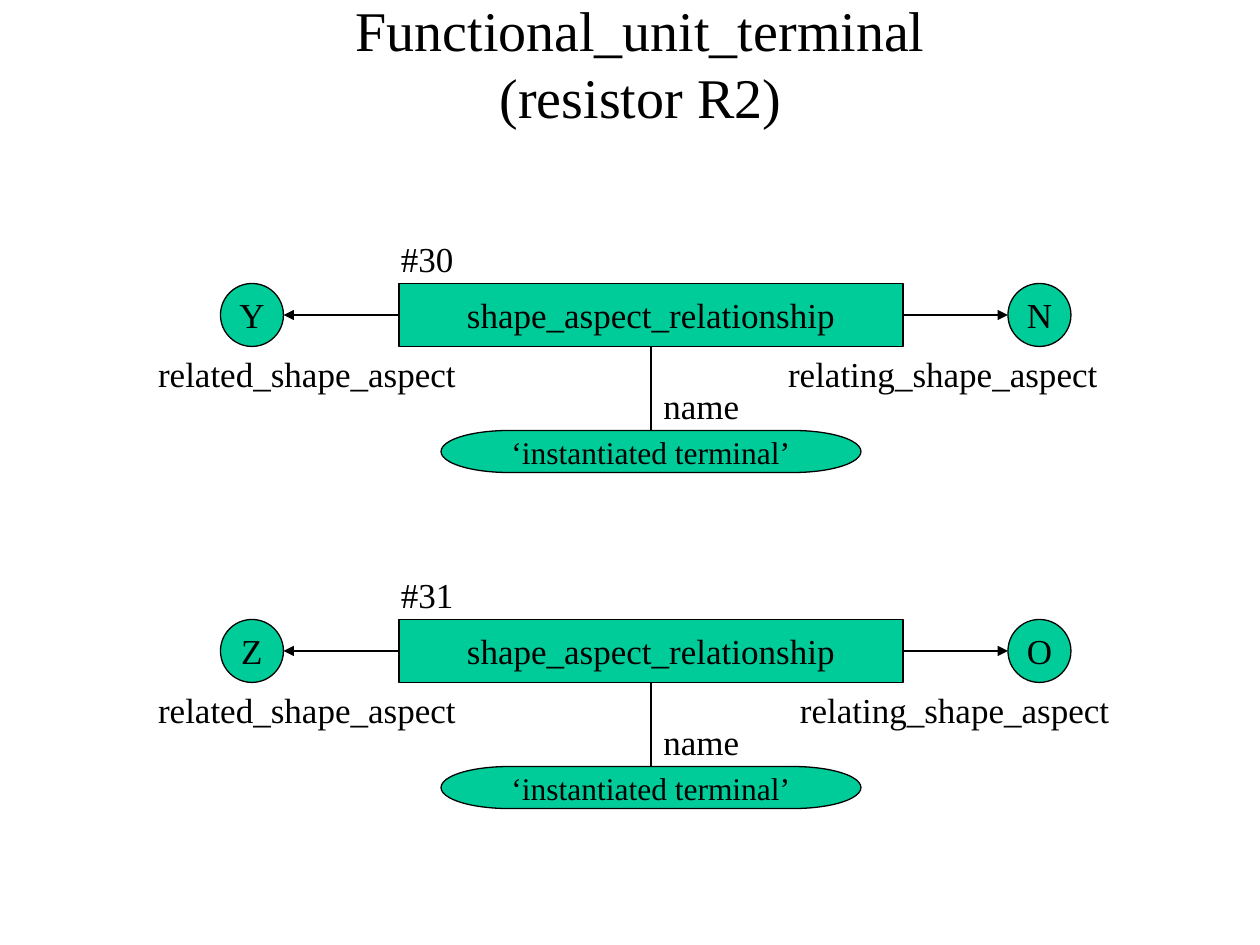
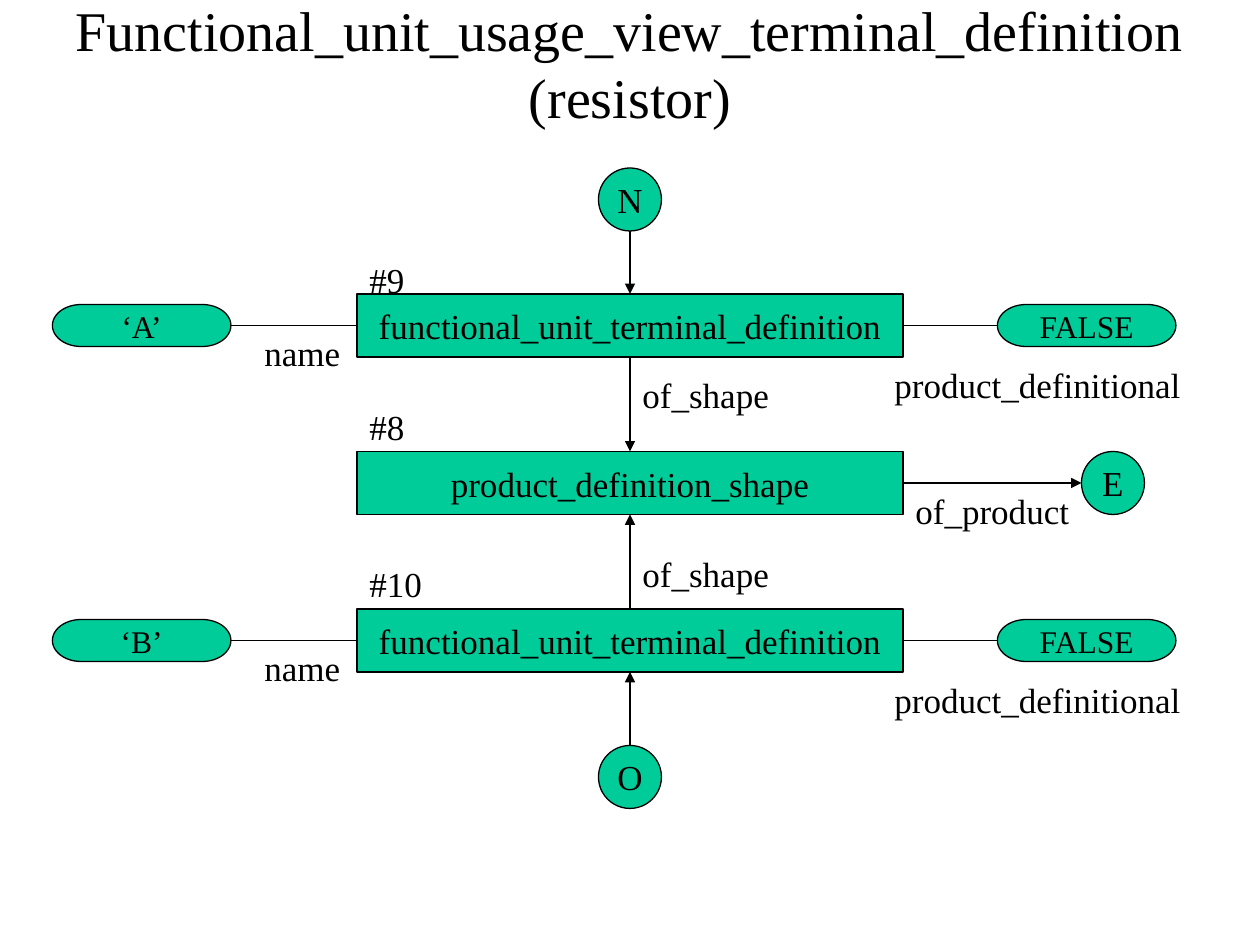
from lxml.etree import SubElement
from pptx import Presentation
from pptx.dml.color import RGBColor
from pptx.enum.shapes import MSO_CONNECTOR, MSO_SHAPE
from pptx.enum.text import MSO_ANCHOR, MSO_AUTO_SIZE, PP_ALIGN
from pptx.oxml.ns import qn
from pptx.util import Emu, Pt

PX = 9525
FONT = "Times New Roman"
BLACK = "000000"
GREEN = "00CC99"
LINE_WIDTH = Pt(0.75)
TOP, LEFT, BOTTOM, RIGHT = range(4)
BOX_HEIGHT = 48
CIRCLE_SIZE = 48
PILL_HEIGHT = 32
LABEL_HEIGHT = 42
TITLE_TOP, TITLE_HEIGHT = 16, 64


def px(length):
    """Turn whole pixels into EMU."""
    return Emu(length * PX)


def color(hex_string):
    """Turn a hex string into a colour."""
    return RGBColor.from_string(hex_string)


def add_run(paragraph, text, size):
    """Add one run in the shared font."""
    run = paragraph.add_run()
    run.text = text
    run.font.name = FONT
    run.font.size = Pt(size)
    run.font.color.rgb = color(BLACK)


def add_titled_slide(presentation, left, width, lines):
    """Add a slide with a centred title of several lines."""
    slide = presentation.slides.add_slide(presentation.slide_layouts[5])
    title = slide.shapes.title
    title.left, title.top = px(left), px(TITLE_TOP)
    title.width, title.height = px(width), px(TITLE_HEIGHT)
    frame = title.text_frame
    frame.auto_size = MSO_AUTO_SIZE.NONE
    frame.vertical_anchor = MSO_ANCHOR.MIDDLE
    paragraph = frame.paragraphs[0]
    paragraph.alignment = PP_ALIGN.CENTER
    for index, line in enumerate(lines):
        if index:
            paragraph.add_line_break()
        add_run(paragraph, line, 32)
    return slide


def add_node(slide, kind, left, top, width, height, text, size=20):
    """Add a green outlined shape with centred text."""
    shape = slide.shapes.add_shape(kind, px(left), px(top), px(width), px(height))
    shape.shadow.inherit = False
    shape.fill.solid()
    shape.fill.fore_color.rgb = color(GREEN)
    shape.line.color.rgb = color(BLACK)
    shape.line.width = LINE_WIDTH
    frame = shape.text_frame
    frame.word_wrap = False
    frame.vertical_anchor = MSO_ANCHOR.MIDDLE
    paragraph = frame.paragraphs[0]
    paragraph.alignment = PP_ALIGN.CENTER
    add_run(paragraph, text, size)
    return shape


def add_entity(slide, left, top, width, text):
    """Add an entity rectangle."""
    return add_node(slide, MSO_SHAPE.RECTANGLE, left, top, width, BOX_HEIGHT, text)


def add_reference(slide, left, top, letter):
    """Add a lettered circle that refers to another diagram."""
    return add_node(slide, MSO_SHAPE.FLOWCHART_CONNECTOR, left, top,
                    CIRCLE_SIZE, CIRCLE_SIZE, letter)


def add_value(slide, left, top, width, text):
    """Add an attribute value in a rounded shape."""
    return add_node(slide, MSO_SHAPE.FLOWCHART_TERMINATOR, left, top,
                    width, PILL_HEIGHT, text, 18)


def add_label(slide, left, top, width, text):
    """Add a plain text label."""
    box = slide.shapes.add_textbox(px(left), px(top), px(width), px(LABEL_HEIGHT))
    box.text_frame.word_wrap = False
    box.text_frame.auto_size = MSO_AUTO_SIZE.SHAPE_TO_FIT_TEXT
    add_run(box.text_frame.paragraphs[0], text, 20)


def side_point(shape, side):
    """Return the middle of one side of a shape."""
    x_share = {LEFT: 0, RIGHT: 2}.get(side, 1)
    y_share = {TOP: 0, BOTTOM: 2}.get(side, 1)
    return (shape.left + shape.width * x_share // 2,
            shape.top + shape.height * y_share // 2)


def add_link(slide, start, start_side, end, end_side, arrow=False):
    """Draw a straight line between the sides of two shapes."""
    connector = slide.shapes.add_connector(
        MSO_CONNECTOR.STRAIGHT, *side_point(start, start_side), *side_point(end, end_side))
    if start.auto_shape_type != MSO_SHAPE.FLOWCHART_CONNECTOR:
        connector.begin_connect(start, start_side)
    if end.auto_shape_type != MSO_SHAPE.FLOWCHART_CONNECTOR:
        connector.end_connect(end, end_side)
    connector.line.color.rgb = color(BLACK)
    connector.line.width = LINE_WIDTH
    if arrow:
        SubElement(connector.get_or_add_ln(), qn("a:tailEnd"), type="triangle")
    SubElement(connector._element.spPr, qn("a:effectLst"))


def add_relationship(slide, top, number, related, relating, relating_left):
    """Add a shape_aspect_relationship with its two aspects and its name."""
    entity = add_entity(slide, 304, top, 384, "shape_aspect_relationship")
    related_circle = add_reference(slide, 168, top, related)
    relating_circle = add_reference(slide, 768, top, relating)
    value = add_value(slide, 336, top + 112, 320, "‘instantiated terminal’")
    add_link(slide, entity, LEFT, related_circle, RIGHT, arrow=True)
    add_link(slide, entity, RIGHT, relating_circle, LEFT, arrow=True)
    add_link(slide, entity, BOTTOM, value, TOP)
    add_label(slide, 296, top - 40, 60, number)
    add_label(slide, 111, top + 48, 248, "related_shape_aspect")
    add_label(slide, relating_left, top + 48, 257, "relating_shape_aspect")
    add_label(slide, 496, top + 72, 78, "name")


def add_terminal_definition(slide, top, name):
    """Add a terminal definition with its two attribute values."""
    entity = add_entity(slide, 272, top, 416, "functional_unit_terminal_definition")
    name_value = add_value(slide, 40, top + 8, 136, name)
    flag_value = add_value(slide, 760, top + 8, 136, "FALSE")
    add_link(slide, name_value, RIGHT, entity, LEFT)
    add_link(slide, entity, RIGHT, flag_value, LEFT)
    add_label(slide, 192, top + 24, 78, "name")
    add_label(slide, 672, top + 48, 240, "product_definitional")
    return entity


def build_terminal_slide(presentation):
    """Build the slide on the terminals of resistor R2."""
    slide = add_titled_slide(presentation, 80, 816,
                             ["Functional_unit_terminal", "(resistor R2)"])
    add_relationship(slide, 216, "#30", "Y", "N", 591)
    add_relationship(slide, 472, "#31", "Z", "O", 600)


def build_definition_slide(presentation):
    """Build the slide on the terminal definitions of the resistor."""
    slide = add_titled_slide(
        presentation, 16, 928,
        ["Functional_unit_usage_view_terminal_definition", "(resistor)"])
    upper = add_terminal_definition(slide, 224, "‘A’")
    shape_entity = add_entity(slide, 272, 344, 416, "product_definition_shape")
    lower = add_terminal_definition(slide, 464, "‘B’")
    upper_circle = add_reference(slide, 456, 128, "N")
    lower_circle = add_reference(slide, 456, 568, "O")
    product_circle = add_reference(slide, 824, 344, "E")
    for start, start_side, end, end_side in [
        (upper_circle, BOTTOM, upper, TOP),
        (upper, BOTTOM, shape_entity, TOP),
        (lower, TOP, shape_entity, BOTTOM),
        (lower_circle, TOP, lower, BOTTOM),
        (shape_entity, RIGHT, product_circle, LEFT),
    ]:
        add_link(slide, start, start_side, end, end_side, arrow=True)
    for left, top, width, text in [
        (272, 192, 48, "#9"),
        (272, 304, 48, "#8"),
        (272, 424, 60, "#10"),
        (480, 280, 118, "of_shape"),
        (480, 416, 118, "of_shape"),
        (688, 368, 139, "of_product"),
    ]:
        add_label(slide, left, top, width, text)


def main():
    """Build and save the presentation."""
    presentation = Presentation()
    presentation.slide_width, presentation.slide_height = px(960), px(720)
    build_terminal_slide(presentation)
    build_definition_slide(presentation)
    presentation.save("out.pptx")


if __name__ == "__main__":
    main()
